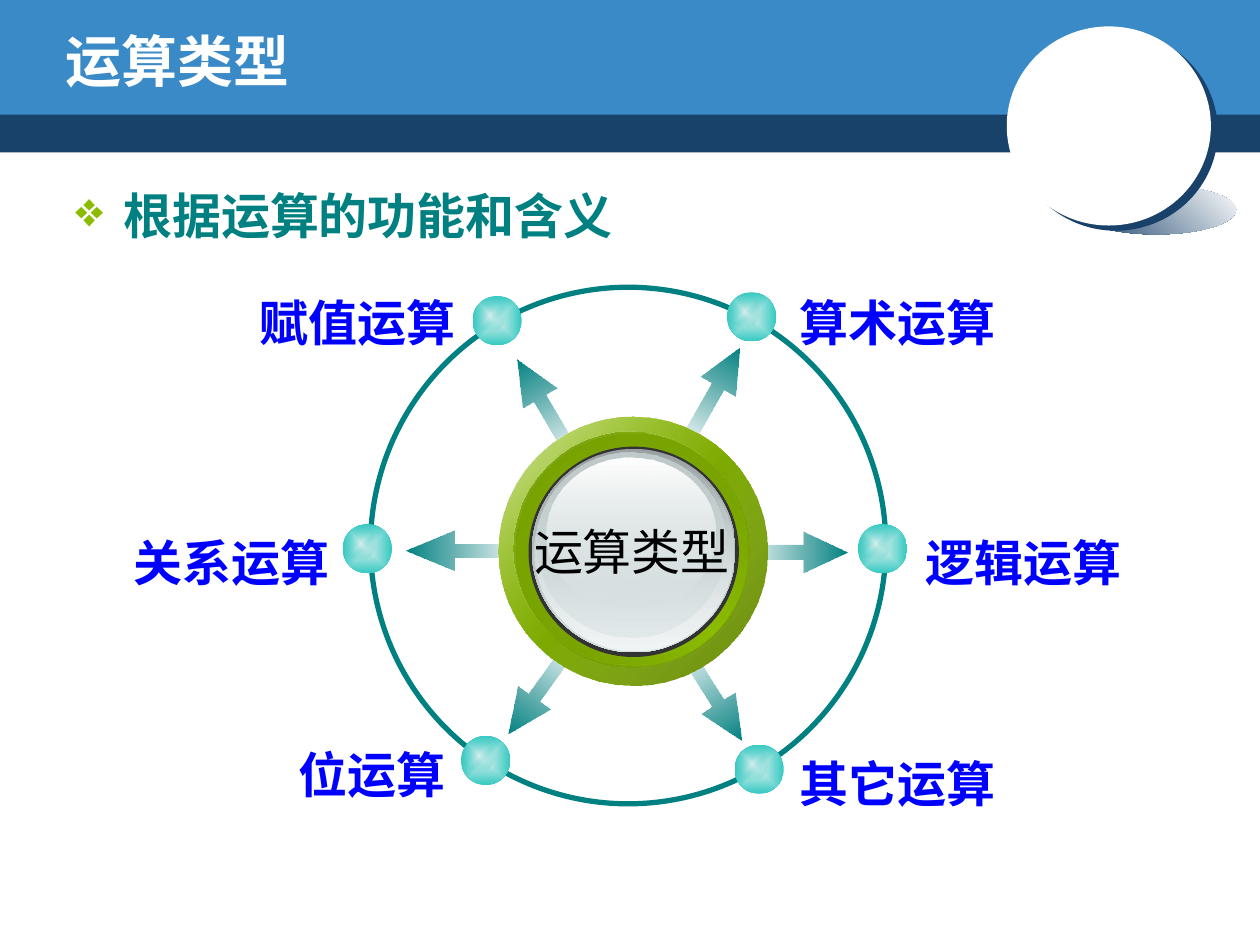
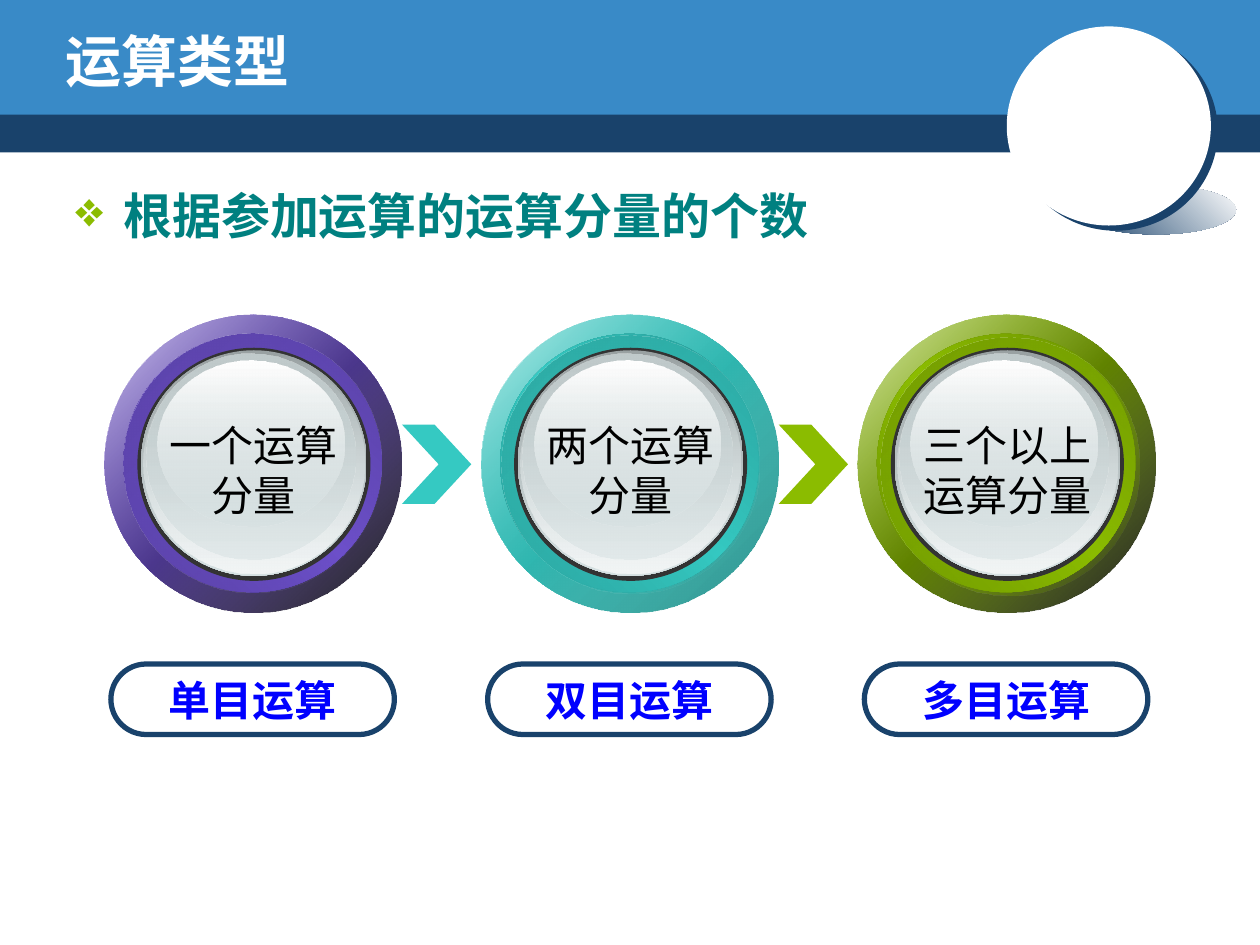
from collections import namedtuple

from pptx import Presentation
from pptx.dml.color import RGBColor
from pptx.enum.shapes import MSO_SHAPE as Preset
from pptx.enum.text import MSO_ANCHOR as Anchor, MSO_AUTO_SIZE as AutoSize, PP_ALIGN as Align
from pptx.oxml import parse_xml
from pptx.oxml.ns import nsdecls, qn
from pptx.util import Inches, Pt

WHITE = RGBColor(0xFF, 0xFF, 0xFF)
BLACK = RGBColor(0, 0, 0)
NAVY = RGBColor(0x19, 0x42, 0x6B)
SKY = RGBColor(0x39, 0x8A, 0xC7)
DEEP_TEAL = RGBColor(0x00, 0x80, 0x80)
ARROW_TAIL = RGBColor(0x00, 0x7A, 0x7A)
LABEL_BLUE = RGBColor(0x00, 0x00, 0xFF)
GREEN = RGBColor(0x8B, 0xBC, 0x00)
TURQUOISE = RGBColor(0x35, 0xC9, 0xC2)
VIOLET = RGBColor(0x6D, 0x50, 0xCA)
PALE_TURQUOISE = RGBColor(0xD7, 0xEF, 0xED)
CHARCOAL = RGBColor(0x33, 0x33, 0x33)
STEEL = RGBColor(0x99, 0xA1, 0xA2)
SILVER = RGBColor(0xC1, 0xCB, 0xCC)
MIST = RGBColor(0xD6, 0xE1, 0xE2)
FROST = RGBColor(0xF2, 0xF5, 0xF5)

HEADING_FONT = "Comic Neue"
LABEL_FONT = "Arial"
PILL_FONT = "DejaVu Sans"
CJK_FONT = "Noto Sans CJK SC"

Palette = namedtuple("Palette", "main bezel sheen rim_end rim_alpha")
GREEN_BEZEL, GREEN_SHEEN = RGBColor(0x6A, 0x90, 0x00), RGBColor(0x72, 0x9A, 0x00)
OLIVE_RING = Palette(GREEN, GREEN_BEZEL, GREEN_SHEEN, RGBColor(0x63, 0x86, 0x00), 100)
GREEN_RING = Palette(GREEN, GREEN_BEZEL, GREEN_SHEEN, BLACK, 90)
VIOLET_RING = Palette(VIOLET, RGBColor(0x53, 0x3D, 0x9B), RGBColor(0x59, 0x42, 0xA6), BLACK, 90)
TURQUOISE_RING = Palette(TURQUOISE, RGBColor(0x29, 0x9A, 0x95), RGBColor(0x2C, 0xA5, 0x9F),
                         RGBColor(0x26, 0x90, 0x8B), 100)
MEDALLION_SIZE = 2.36


def add_shape(slide, preset, box, color=None, line=None, adjustments=()):
    shape = slide.shapes.add_shape(preset, *map(Inches, box))
    shape.shadow.inherit = False
    if color is None:
        shape.fill.background()
    else:
        shape.fill.solid()
        shape.fill.fore_color.rgb = color
    if line is None:
        shape.line.fill.background()
    else:
        shape.line.color.rgb = line
        shape.line.width = Pt(3)
    for index, value in enumerate(adjustments):
        shape.adjustments[index] = value
    return shape


def set_gradient(shape, stops, angle=None):
    stop_xml = "".join(
        f'<a:gs pos="{position * 1000}"><a:srgbClr val="{color}">'
        f'<a:alpha val="{alpha * 1000}"/></a:srgbClr></a:gs>'
        for position, color, alpha in stops)
    if angle is None:
        direction = ('<a:path path="shape"><a:fillToRect l="50000" t="50000" '
                     'r="50000" b="50000"/></a:path>')
    else:
        direction = f'<a:lin ang="{angle * 60000}" scaled="1"/>'
    gradient = parse_xml(f'<a:gradFill rotWithShape="1" {nsdecls("a")}>'
                         f'<a:gsLst>{stop_xml}</a:gsLst>{direction}</a:gradFill>')
    properties = shape.element.spPr
    properties.replace(properties.find(qn("a:noFill")), gradient)


def add_gradient_shape(slide, preset, box, stops, angle=None, adjustments=()):
    shape = add_shape(slide, preset, box, adjustments=adjustments)
    set_gradient(shape, stops, angle)
    return shape


def write(frame, lines, font, size, color, bold=False, align=Align.LEFT):
    for index, line in enumerate(lines):
        paragraph = frame.add_paragraph() if index else frame.paragraphs[0]
        paragraph.alignment = align
        run = paragraph.add_run()
        run.text = line
        run.font.name = font
        run.font.size = Pt(size)
        run.font.bold = bold
        run.font.color.rgb = color
        run.font._element.find(qn("a:latin")).addnext(
            parse_xml(f'<a:ea typeface="{CJK_FONT}" {nsdecls("a")}/>'))


def add_label(slide, box, lines, font, size, color, bold=False, align=Align.CENTER):
    frame = slide.shapes.add_textbox(*map(Inches, box)).text_frame
    frame.word_wrap = False
    frame.auto_size = AutoSize.SHAPE_TO_FIT_TEXT
    write(frame, lines, font, size, color, bold, align)


def decorate_layout(layout, slide):
    shadow_disc = add_gradient_shape(slide, Preset.OVAL, (8.54, 1.47, 1.27, 0.39),
                                     [(0, NAVY, 100), (100, WHITE, 100)], 315)
    white_disc = add_shape(slide, Preset.OVAL, (7.99, 0.21, 1.62, 1.58), WHITE)
    white_disc.element.spPr.find(qn("a:effectLst")).append(parse_xml(
        f'<a:outerShdw blurRad="0" dist="{Pt(5)}" dir="{37 * 60000}" algn="ctr" '
        f'rotWithShape="0" {nsdecls("a")}><a:srgbClr val="{NAVY}"/></a:outerShdw>'))
    parts = [add_shape(slide, Preset.RECTANGLE, (0, 0.87, 10, 0.34), NAVY),
             add_shape(slide, Preset.RECTANGLE, (0, 0, 10, 0.91), SKY),
             shadow_disc, white_disc]
    for index, part in enumerate(parts):
        part.element.nvSpPr.cNvPr.set("id", str(100 + index))
        layout.shapes.element.insert(2 + index, part.element)


def add_heading(slide, title_text, subtitle):
    title = slide.shapes.title
    title.left, title.top, title.width, title.height = map(Inches, (0.42, 0.17, 8.08, 0.62))
    title.text_frame.vertical_anchor = Anchor.MIDDLE
    write(title.text_frame, [title_text], HEADING_FONT, 32, WHITE, True)

    frame = slide.shapes.add_textbox(*map(Inches, (0.5, 1.42, 8.92, 0.61))).text_frame
    frame.word_wrap = True
    write(frame, [subtitle], HEADING_FONT, 28, DEEP_TEAL, True)
    properties = frame.paragraphs[0]._p.get_or_add_pPr()
    properties.set("marL", str(Inches(0.38)))
    properties.set("indent", str(-Inches(0.38)))
    properties.append(parse_xml(
        f'<a:buClr {nsdecls("a")}><a:srgbClr val="{GREEN}"/></a:buClr>'))
    properties.append(parse_xml(f'<a:buChar char="❖" {nsdecls("a")}/>'))


def add_medallion(slide, left, top, size, palette, sheen_offset):
    scale = size / MEDALLION_SIZE

    def place(x, y, width, height):
        return left + x * scale, top + y * scale, width * scale, height * scale

    def layer(box, stops, angle):
        add_gradient_shape(slide, Preset.OVAL, place(*box), stops, angle)

    main, bezel = palette.main, palette.bezel
    rim_box = (0, 0, MEDALLION_SIZE, MEDALLION_SIZE)
    layer(rim_box, [(0, WHITE, 100), (50, main, 100), (100, WHITE, 100)], 45)
    layer(rim_box, [(0, main, 32), (100, palette.rim_end, palette.rim_alpha)], 45)
    layer((0.15, 0.15, 2.05, 2.05), [(0, bezel, 100), (50, main, 100), (100, bezel, 100)], 315)
    layer((sheen_offset, sheen_offset, 2.05, 2.05),
          [(0, palette.sheen, 100), (100, main, 0)], 45)
    add_shape(slide, Preset.OVAL, place(0.26, 0.26, 1.85, 1.85), CHARCOAL)
    layer((0.29, 0.28, 1.79, 1.79), [(0, STEEL, 100), (100, MIST, 100)], 90)
    layer((0.31, 0.3, 1.75, 1.75), [(0, MIST, 0), (100, FROST, 100)], 90)
    layer((0.33, 0.31, 1.66, 1.63), [(0, SILVER, 100), (100, MIST, 48)], 90)
    layer((0.42, 0.36, 1.48, 1.32), [(0, WHITE, 100), (100, MIST, 38)], 90)


def add_arrow(slide, left, top, length, rotation, head):
    arrow = add_gradient_shape(slide, Preset.RIGHT_ARROW, (left, top, length, 0.32),
                               [(0, ARROW_TAIL, 0), (100, DEEP_TEAL, 100)], 0, (0.35, head))
    arrow.rotation = rotation


def add_node(slide, left, top):
    for box, edge_alpha in (((left, top, 0.39, 0.39), 100),
                            ((left + 0.02, top + 0.03, 0.24, 0.25), 0)):
        add_gradient_shape(slide, Preset.OVAL, box,
                           [(0, PALE_TURQUOISE, 100), (100, TURQUOISE, edge_alpha)])


def add_wheel(slide, left, top, hub_text, arrows, nodes):
    for x, y, length, rotation, head in arrows:
        add_arrow(slide, left + x, top + y, length, rotation, head)
    add_shape(slide, Preset.OVAL, (left, top, 4.09, 4.1), line=DEEP_TEAL)
    for _, x, y, *_ in nodes:
        add_node(slide, left + x, top + y)
    add_medallion(slide, left + 1.02, top + 1.03, 2.13, OLIVE_RING, 0.13)
    add_label(slide, (left + 1.19, top + 1.81, 1.77, 0.57), [hub_text], CJK_FONT, 28, BLACK)
    for text, _, _, x, y, width, align in nodes:
        add_label(slide, (left + x, top + y, width, 0.57), [text],
                  LABEL_FONT, 28, LABEL_BLUE, True, align)


def add_stage(slide, left, top, lines, name, palette, sheen_offset):
    add_medallion(slide, left, top, MEDALLION_SIZE, palette, sheen_offset)
    add_label(slide, (left + 0.42, top + 0.78, 1.53, 0.88), lines, CJK_FONT, 24, BLACK)
    pill = add_shape(slide, Preset.ROUNDED_RECTANGLE, (left + 0.05, top + 2.77, 2.25, 0.56),
                     line=NAVY, adjustments=(0.5,))
    pill.text_frame.word_wrap = False
    pill.text_frame.vertical_anchor = Anchor.MIDDLE
    write(pill.text_frame, [name], PILL_FONT, 24, LABEL_BLUE, True, Align.CENTER)


def add_stages(slide, left, top, pitch, stages, chevron_colors):
    for index, color in enumerate(chevron_colors):
        add_shape(slide, Preset.CHEVRON,
                  (left + index * pitch + MEDALLION_SIZE, top + 0.87, 0.55, 0.63),
                  color, adjustments=(0.53,))
    for index, stage in enumerate(stages):
        add_stage(slide, left + index * pitch, top, *stage)


def main():
    presentation = Presentation()
    presentation.slide_width, presentation.slide_height = Inches(10), Inches(7.5)
    layout = presentation.slide_layouts[5]

    wheel_slide = presentation.slides.add_slide(layout)
    decorate_layout(layout, wheel_slide)
    add_heading(wheel_slide, "运算类型", "根据运算的功能和含义")
    arrows = [
        (2.28, 0.7, 0.87, 299.6, 1.11),
        (2.28, 3.07, 0.87, 57.8, 1.11),
        (0.95, 0.79, 0.87, 239.5, 1.11),
        (0.91, 3.03, 0.87, 125.6, 1.11),
        (2.92, 1.94, 0.87, 0, 1.11),
        (0.28, 1.93, 0.94, 180, 1.21),
    ]
    nodes = [
        ("赋值运算", 0.81, 0.07, -1, -0.01, 1.77, Align.RIGHT),
        ("关系运算", -0.22, 1.88, -2, 1.9, 1.77, Align.RIGHT),
        ("位运算", 0.72, 3.56, -0.69, 3.58, 1.38, Align.RIGHT),
        ("算术运算", 2.83, 0.04, 3.31, -0.01, 1.77, Align.LEFT),
        ("逻辑运算", 3.87, 1.88, 4.31, 1.9, 1.77, Align.LEFT),
        ("其它运算", 2.89, 3.63, 3.31, 3.65, 1.77, Align.LEFT),
    ]
    add_wheel(wheel_slide, 2.94, 2.28, "运算类型", arrows, nodes)

    stage_slide = presentation.slides.add_slide(layout)
    add_heading(stage_slide, "运算类型", "根据参加运算的运算分量的个数")
    stages = [
        (["一个运算", "分量"], "单目运算", VIOLET_RING, 0.15),
        (["两个运算", "分量"], "双目运算", TURQUOISE_RING, 0.16),
        (["三个以上", "运算分量"], "多目运算", GREEN_RING, 0.18),
    ]
    add_stages(stage_slide, 0.83, 2.5, 2.99, stages, (TURQUOISE, GREEN))

    presentation.save("out.pptx")


if __name__ == "__main__":
    main()
